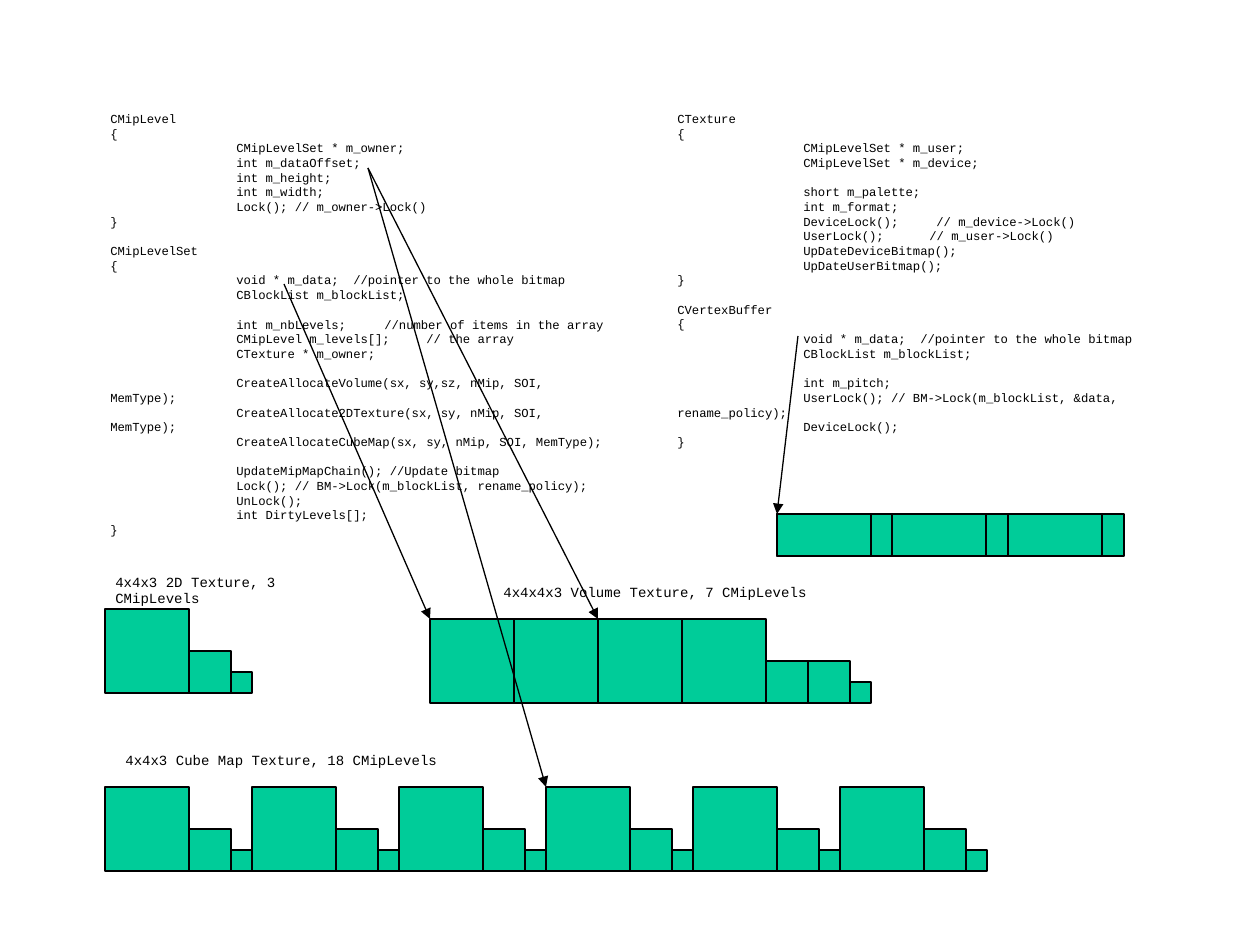
from dataclasses import dataclass
from itertools import accumulate
from lxml.etree import SubElement
from pptx import Presentation
from pptx.dml.color import RGBColor
from pptx.enum.shapes import MSO_CONNECTOR, MSO_SHAPE
from pptx.oxml.ns import qn
from pptx.util import Pt

PX = 914400 / 126


@dataclass(frozen=True)
class Theme:
    """Colours, font and sizes of the slide."""
    ink: RGBColor = RGBColor(0x00, 0x00, 0x00)
    block: RGBColor = RGBColor(0x00, 0xCC, 0x99)
    font: str = "Courier New"
    code_size: float = 7
    label_size: float = 8
    code_leading: float = 8.4
    line_width: float = 0.75


THEME = Theme()
INDENT = 126
MIP_SIZES = [84, 42, 21]

MIP_CLASSES = [
    ("CMipLevel", [[
        "CMipLevelSet * m_owner;", "int m_dataOffset;", "int m_height;",
        "int m_width;", "Lock(); // m_owner->Lock()",
    ]]),
    ("CMipLevelSet", [
        ["void * m_data;  //pointer to the whole bitmap", "CBlockList m_blockList;"],
        [("int m_nbLevels;\t//number of items in the array", 274),
         ("CMipLevel m_levels[];\t// the array", 316), "CTexture * m_owner;"],
        ["CreateAllocateVolume(sx, sy,sz, nMip, SOI, MemType);",
         "CreateAllocate2DTexture(sx, sy, nMip, SOI, MemType);",
         "CreateAllocateCubeMap(sx, sy, nMip, SOI, MemType);"],
        ["UpdateMipMapChain(); //Update bitmap",
         "Lock(); // BM->Lock(m_blockList, rename_policy);",
         "UnLock();", "int DirtyLevels[];"],
    ]),
]

BUFFER_CLASSES = [
    ("CTexture", [
        ["CMipLevelSet * m_user;", "CMipLevelSet * m_device;"],
        ["short m_palette;", "int m_format;",
         ("DeviceLock();\t// m_device->Lock()", 259),
         ("UserLock();\t// m_user->Lock()", 252),
         "UpDateDeviceBitmap();", "UpDateUserBitmap();"],
    ]),
    ("CVertexBuffer", [
        ["void * m_data;  //pointer to the whole bitmap", "CBlockList m_blockList;"],
        ["int m_pitch;",
         "UserLock(); // BM->Lock(m_blockList, &data, rename_policy);",
         "DeviceLock();"],
    ]),
]


def emu(*lengths):
    """Turn px lengths into EMU."""
    return [round(length * PX) for length in lengths]


def add_text_frame(page, box):
    """Add an unwrapped text box and return its frame."""
    frame = page.shapes.add_textbox(*emu(*box)).text_frame
    frame.word_wrap = False
    return frame


def write_text(para, text, size=THEME.label_size, leading=None, before=0, stops=()):
    """Write one formatted line with optional tab stops in px."""
    span = para.add_run()
    span.text = text
    span.font.name = THEME.font
    span.font.size = Pt(size)
    span.font.color.rgb = THEME.ink
    para.space_before = Pt(before)
    if leading:
        para.line_spacing = Pt(leading)
    if stops:
        tab_list = SubElement(para._p.get_or_add_pPr(), qn("a:tabLst"))
        for position in emu(*stops):
            SubElement(tab_list, qn("a:tab"), pos=str(position), algn="l")


def class_lines(classes):
    """Yield text, tab stops and gap flag for every line of the classes."""
    for class_index, (name, groups) in enumerate(classes):
        yield name, (), class_index > 0
        yield "{", (), False
        for group_index, group in enumerate(groups):
            for line_index, line in enumerate(group):
                text, *comment_stop = (line,) if isinstance(line, str) else line
                starts_group = group_index > 0 and line_index == 0
                yield "\t" + text, (INDENT, *comment_stop), starts_group
        yield "}", (), False


def add_code(page, box, classes):
    """Place a listing of class outlines in the box."""
    frame = add_text_frame(page, box)
    for index, (text, stops, gap) in enumerate(class_lines(classes)):
        para = frame.add_paragraph() if index else frame.paragraphs[0]
        write_text(para, text, size=THEME.code_size, leading=THEME.code_leading,
                   before=THEME.code_leading if gap else 0, stops=stops)


def add_block(page, box):
    """Add one memory block."""
    block = page.shapes.add_shape(MSO_SHAPE.RECTANGLE, *emu(*box))
    block.shadow.inherit = False
    block.fill.solid()
    block.fill.fore_color.rgb = THEME.block
    block.line.color.rgb = THEME.ink
    block.line.width = Pt(THEME.line_width)


def add_mip_strip(page, left, top, sizes):
    """Place square mip levels side by side on a common base line."""
    base = top + max(sizes)
    for right, size in zip(accumulate(sizes), sizes):
        add_block(page, (left + right - size, base - size, size, size))


def add_vertex_buffer(page, box, count=3, cell_width=94):
    """Place a buffer bar with evenly spaced cells."""
    left, top, width, height = box
    add_block(page, box)
    for index in range(count):
        add_block(page, (left + index * width // count, top, cell_width, height))


def add_label(page, box, text):
    """Place a strip caption."""
    write_text(add_text_frame(page, box).paragraphs[0], text)


def add_arrow(page, start, end):
    """Draw a pointer with a triangle at its end."""
    arrow = page.shapes.add_connector(MSO_CONNECTOR.STRAIGHT, *emu(*start, *end))
    arrow.line.color.rgb = THEME.ink
    arrow.line.width = Pt(THEME.line_width)
    SubElement(arrow.line._get_or_add_ln(), qn("a:tailEnd"), type="triangle")
    SubElement(arrow._element.spPr, qn("a:effectLst"))


def main():
    """Build the slide and save it."""
    deck = Presentation()
    deck.slide_width, deck.slide_height = emu(1260, 945)
    page = deck.slides.add_slide(deck.slide_layouts[6])

    add_code(page, (665, 105, 582, 381), BUFFER_CLASSES)
    add_code(page, (98, 105, 530, 425), MIP_CLASSES)

    add_mip_strip(page, 105, 609, MIP_SIZES)
    add_mip_strip(page, 105, 787, MIP_SIZES * 6)
    add_mip_strip(page, 430, 619, [84] * 4 + [42] * 2 + [21])
    add_vertex_buffer(page, (777, 514, 347, 42))

    add_label(page, (491, 577, 329, 30), "4x4x4x3 Volume Texture, 7 CMipLevels")
    add_label(page, (103, 567, 278, 30), "4x4x3 2D Texture, 3 CMipLevels")
    add_label(page, (113, 745, 338, 30), "4x4x3 Cube Map Texture, 18 CMipLevels")

    data_offset = (368, 168)
    add_arrow(page, data_offset, (598, 619))
    add_arrow(page, data_offset, (546, 787))
    add_arrow(page, (798, 336), (777, 514))
    add_arrow(page, (284, 284), (430, 619))

    deck.save("out.pptx")


if __name__ == "__main__":
    main()
